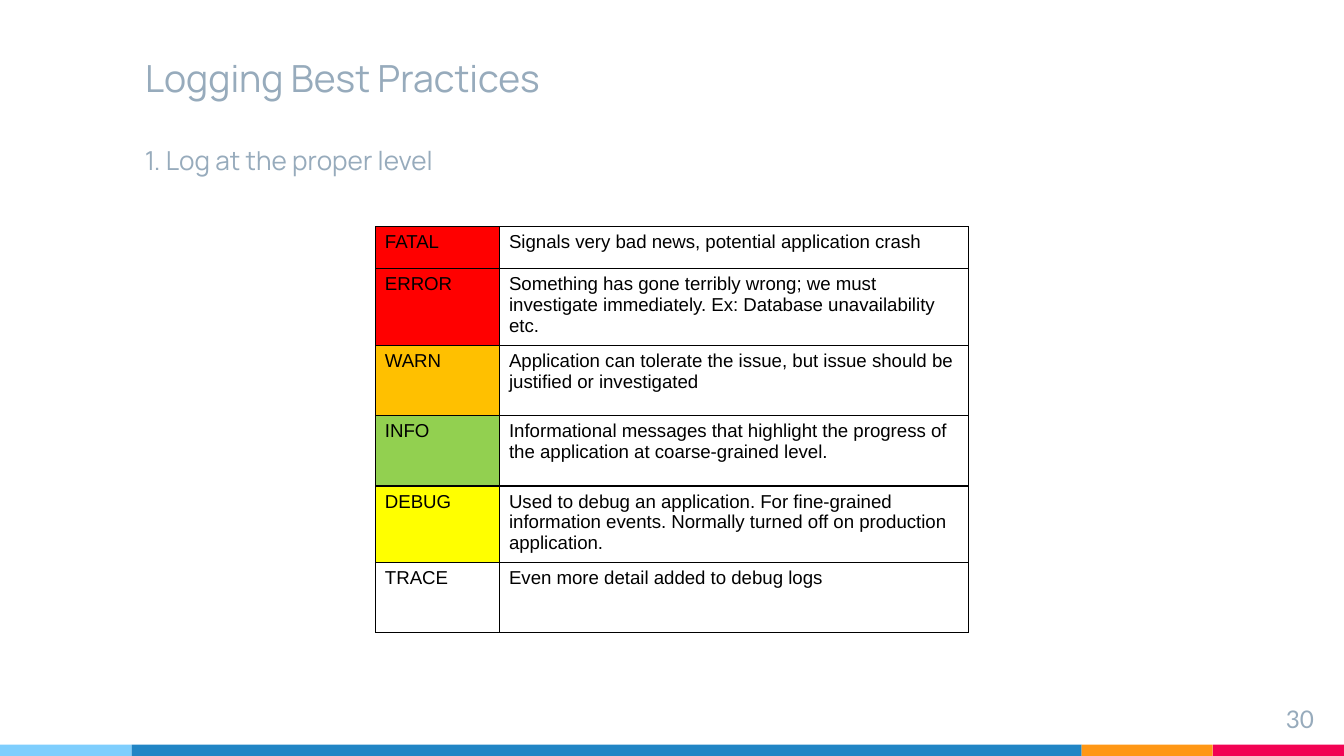
from lxml.etree import SubElement
from pptx import Presentation
from pptx.dml.color import RGBColor
from pptx.enum.shapes import MSO_SHAPE
from pptx.enum.text import MSO_ANCHOR, MSO_AUTO_SIZE, PP_ALIGN
from pptx.oxml.ns import qn
from pptx.util import Pt


def rgb(value):
    return RGBColor.from_string(value)


def write(tf, text, size, font, color, align=PP_ALIGN.LEFT):
    tf.word_wrap = True
    p = tf.paragraphs[0]
    p.alignment = align
    r = p.add_run()
    r.text = text
    r.font.size = Pt(size)
    r.font.name = font
    r.font.color.rgb = rgb(color)


GREY = "97ABBC"

prs = Presentation()
prs.slide_width, prs.slide_height = Pt(720), Pt(405)
s = prs.slides.add_slide(prs.slide_layouts[5])

# Bottom colour strip
x = 0
for width, color in [(70.5, "7ECEFD"), (509, "2185C5"), (70.25, "FF9715"), (70.25, "F20253")]:
    sp = s.shapes.add_shape(MSO_SHAPE.RECTANGLE, Pt(x), Pt(399), Pt(width), Pt(6))
    sp.shadow.inherit = False
    sp.fill.solid()
    sp.fill.fore_color.rgb = rgb(color)
    sp.line.fill.background()
    x += width

# Title, subtitle and page number
title = s.shapes.title
title.left, title.top, title.width, title.height = Pt(70.5), Pt(28), Pt(600.5), Pt(33)
subtitle = s.shapes.add_textbox(Pt(70.5), Pt(77), Pt(329), Pt(24.5))
number = s.shapes.add_textbox(Pt(667.5), Pt(370), Pt(43.5), Pt(24.5))
for sp, text, size, font, anchor, align in [
    (title, "Logging Best Practices", 20, "Manrope", MSO_ANCHOR.BOTTOM, PP_ALIGN.LEFT),
    (subtitle, "1. Log at the proper level", 14, "Manrope", MSO_ANCHOR.BOTTOM, PP_ALIGN.LEFT),
    (number, "30", 13, "Lato", MSO_ANCHOR.TOP, PP_ALIGN.RIGHT),
]:
    tf = sp.text_frame
    tf.auto_size = MSO_AUTO_SIZE.NONE
    tf.vertical_anchor = anchor
    tf.margin_left = tf.margin_right = tf.margin_top = tf.margin_bottom = Pt(7.2)
    write(tf, text, size, font, GREY, align)

# Log levels: name, fill, row height, meaning
levels = [
    ("FATAL", "FF0000", 22.5, "Signals very bad news, potential application crash"),
    ("ERROR", "FF0000", 41, "Something has gone terribly wrong; we must investigate "
     "immediately. Ex: Database unavailability etc."),
    ("WARN", "FFC000", 37.75, "Application can tolerate the issue, but issue should be "
     "justified or investigated"),
    ("INFO", "92D050", 37.75, "Informational messages that highlight the progress of the "
     "application at coarse-grained level."),
    ("DEBUG", "FFFF00", 41, "Used to debug an application. For fine-grained information "
     "events. Normally turned off on production application."),
    ("TRACE", None, 37.5, "Even more detail added to debug logs"),
]
table = s.shapes.add_table(len(levels), 2, Pt(201.25), Pt(121.5), Pt(317.5), Pt(217.5)).table
table.first_row = table.horz_banding = False
table.columns[0].width, table.columns[1].width = Pt(66.5), Pt(251)

for i, (level, color, height, meaning) in enumerate(levels):
    table.rows[i].height = Pt(height)
    for j, (text, fill) in enumerate([(level, color), (meaning, None)]):
        cell = table.cell(i, j)
        cell.margin_left = cell.margin_right = Pt(5)
        cell.margin_top = cell.margin_bottom = Pt(2.75)
        write(cell.text_frame, text, 10, "Arial", "000000")
        tcPr = cell._tc.get_or_add_tcPr()
        for side in ("a:lnL", "a:lnR", "a:lnT", "a:lnB"):
            ln = SubElement(tcPr, qn(side), w=str(Pt(0.75)))
            SubElement(SubElement(ln, qn("a:solidFill")), qn("a:srgbClr"), val="000000")
        if fill:
            cell.fill.solid()
            cell.fill.fore_color.rgb = rgb(fill)
        else:
            cell.fill.background()

prs.save("out.pptx")
